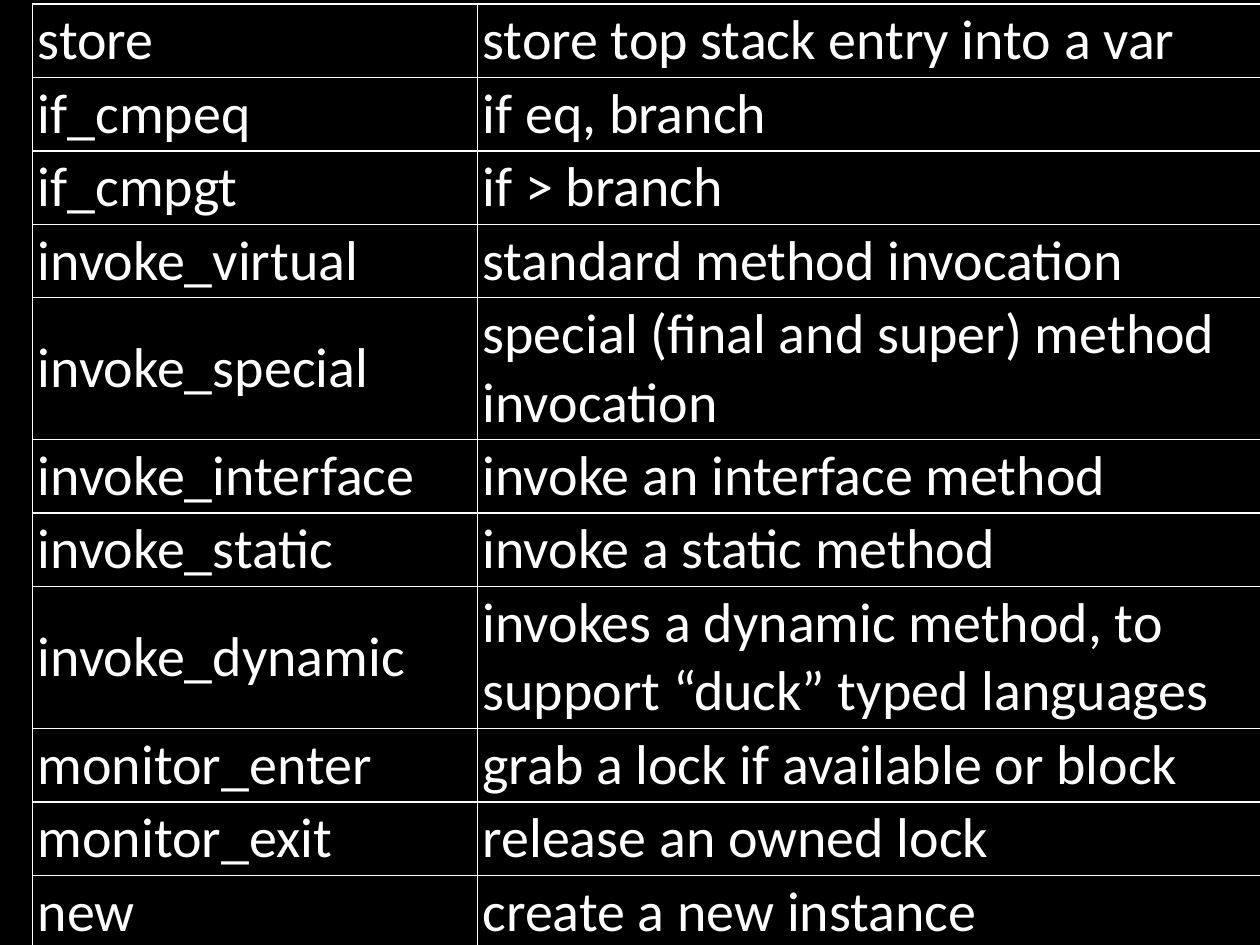
from pptx import Presentation
from pptx.dml.color import RGBColor
from pptx.enum.text import MSO_ANCHOR as Anchor
from pptx.util import Pt

BLACK = RGBColor(0x00, 0x00, 0x00)
WHITE = RGBColor(0xFF, 0xFF, 0xFF)

BYTECODES = [
    ("store", "store top stack entry into a var"),
    ("if_cmpeq", "if eq, branch"),
    ("if_cmpgt", "if > branch"),
    ("invoke_virtual", "standard method invocation"),
    ("invoke_special", "special (final and super) method invocation"),
    ("invoke_interface", "invoke an interface method"),
    ("invoke_static", "invoke a static method"),
    ("invoke_dynamic", "invokes a dynamic method, to support “duck” typed languages"),
    ("monitor_enter", "grab a lock if available or block"),
    ("monitor_exit", "release an owned lock"),
    ("new", "create a new instance"),
]
COLUMN_WIDTHS = [254.2, 457.9]
LEFT, TOP = 18.7, 2.2
LINE_HEIGHT = 39
MARGIN_X, MARGIN_Y = 2.88, 1.44
LINE_CAPACITY = 36

deck = Presentation()
deck.slide_width, deck.slide_height = Pt(720), Pt(540)
page = deck.slides.add_slide(deck.slide_layouts[6])
page.background.fill.solid()
page.background.fill.fore_color.rgb = BLACK

row_heights = [
    LINE_HEIGHT * (2 if len(meaning) > LINE_CAPACITY else 1) + 2 * MARGIN_Y
    for _, meaning in BYTECODES
]
table = page.shapes.add_table(
    len(BYTECODES), len(COLUMN_WIDTHS), Pt(LEFT), Pt(TOP),
    Pt(sum(COLUMN_WIDTHS)), Pt(sum(row_heights)),
).table
table.first_row = table.horz_banding = False

for column, width in zip(table.columns, COLUMN_WIDTHS):
    column.width = Pt(width)

for row, height, texts in zip(table.rows, row_heights, BYTECODES):
    row.height = Pt(height)
    for cell, text in zip(row.cells, texts):
        cell.fill.solid()
        cell.fill.fore_color.rgb = BLACK
        cell.vertical_anchor = Anchor.MIDDLE
        cell.margin_left = cell.margin_right = Pt(MARGIN_X)
        cell.margin_top = cell.margin_bottom = Pt(MARGIN_Y)
        cell.text = text
        font = cell.text_frame.paragraphs[0].font
        font.name, font.size = "Calibri", Pt(32)
        font.color.rgb = WHITE

deck.save("out.pptx")
